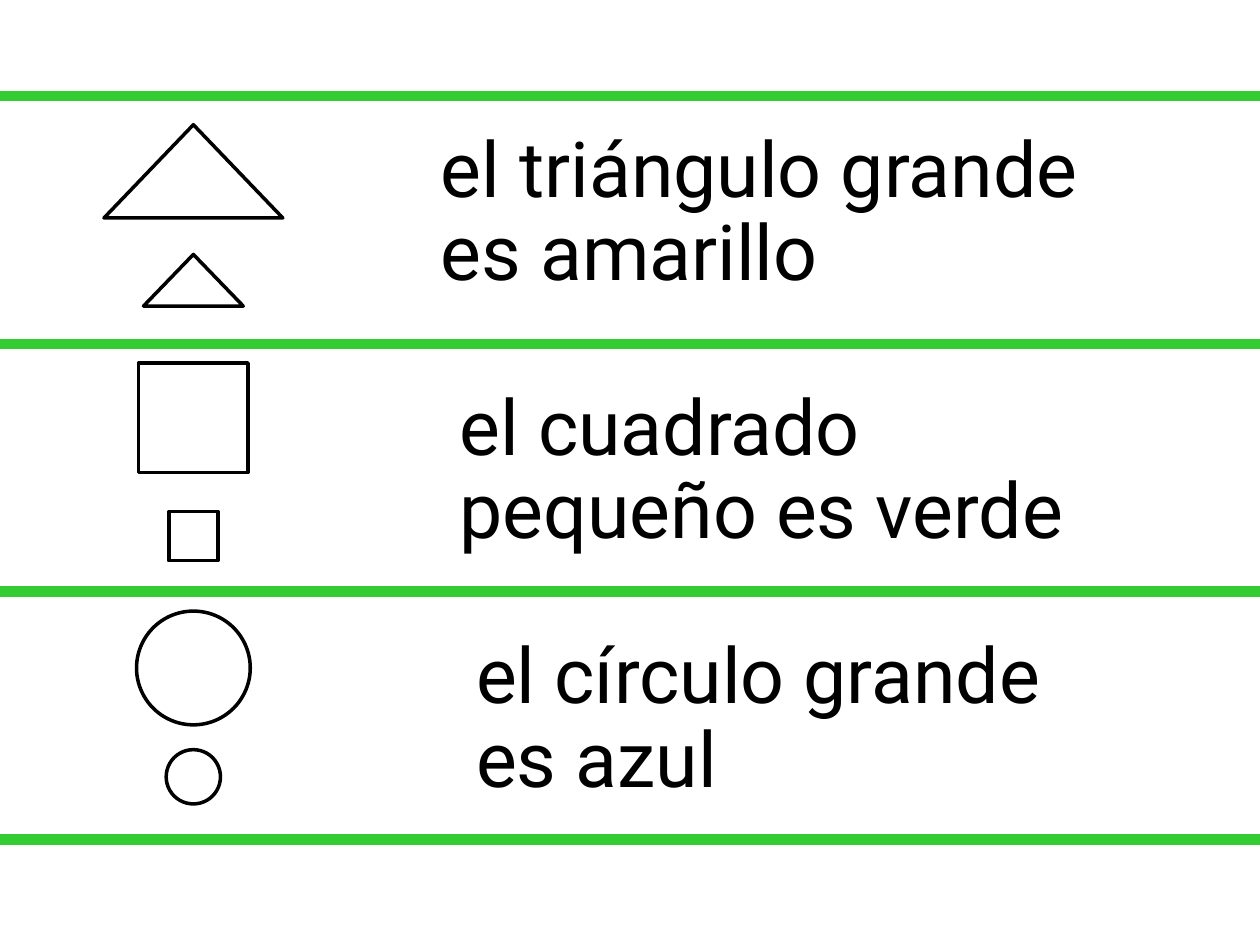
from lxml import etree
from pptx import Presentation
from pptx.dml.color import RGBColor
from pptx.enum.shapes import MSO_CONNECTOR, MSO_SHAPE
from pptx.oxml.ns import qn
from pptx.util import Pt

STRAIGHT = MSO_CONNECTOR.STRAIGHT
TRIANGLE = MSO_SHAPE.ISOSCELES_TRIANGLE
SQUARE = MSO_SHAPE.RECTANGLE
CIRCLE = MSO_SHAPE.OVAL

SLIDE_WIDTH, SLIDE_HEIGHT = 720, 540
FIRST_RULE, ROW_HEIGHT = 54.9, 141.6
FIGURE_CENTER = 110.5
GREEN, BLACK = "33CC33", "000000"

# Each row: figure kind, (top, width, height) of its large and small figure,
# sentence, and (left, top, width) of the sentence; tops count from the row's rule
ROWS = [
    (TRIANGLE, [(16.4, 102.2, 53.3), (90.5, 57, 29.5)],
     "el triángulo grande es amarillo", (244.8, 16.4, 411)),
    (SQUARE, [(10.9, 62.6, 62.6), (95.8, 28.1, 28.1)],
     "el cuadrado pequeño es verde", (255.6, 22.4, 416)),
    (CIRCLE, [(11.1, 65, 65), (90.3, 31, 31)],
     "el círculo grande \ves azul", (265, 22.6, 391)),
]


def color(hex_value):
    return RGBColor.from_string(hex_value)


def add_rule(slide, y):
    rule = slide.shapes.add_connector(
        STRAIGHT, Pt(0), Pt(y), Pt(SLIDE_WIDTH), Pt(y))
    rule.line.color.rgb = color(GREEN)
    rule.line.width = Pt(6)
    etree.SubElement(rule._element.spPr, qn("a:effectLst"))


def add_figure(slide, kind, y, width, height):
    figure = slide.shapes.add_shape(
        kind, Pt(FIGURE_CENTER - width / 2), Pt(y), Pt(width), Pt(height))
    figure.shadow.inherit = False
    figure.fill.background()
    figure.line.color.rgb = color(BLACK)
    figure.line.width = Pt(2)


def add_sentence(slide, sentence, x, y, width):
    box = slide.shapes.add_textbox(Pt(x), Pt(y), Pt(width), Pt(102))
    box.text_frame.word_wrap = True
    paragraph = box.text_frame.paragraphs[0]
    paragraph.text = sentence
    paragraph.line_spacing = 0.9
    for run in paragraph.runs:
        run.font.name = "Roboto"
        run.font.size = Pt(44)
        run.font.color.rgb = color(BLACK)


def add_row(slide, top, kind, figures, sentence, sentence_place):
    # Large and small figure, centred on one axis
    for offset, width, height in figures:
        add_figure(slide, kind, top + offset, width, height)
    # Sentence to the right
    left, offset, width = sentence_place
    add_sentence(slide, sentence, left, top + offset, width)


def main():
    presentation = Presentation()
    presentation.slide_width = Pt(SLIDE_WIDTH)
    presentation.slide_height = Pt(SLIDE_HEIGHT)
    slide = presentation.slides.add_slide(presentation.slide_layouts[6])

    # Green rules above, between and below the rows
    for index in range(len(ROWS) + 1):
        add_rule(slide, FIRST_RULE + index * ROW_HEIGHT)

    # Rows of figures and sentences
    for index, row in enumerate(ROWS):
        add_row(slide, FIRST_RULE + index * ROW_HEIGHT, *row)

    presentation.save("out.pptx")


if __name__ == "__main__":
    main()
